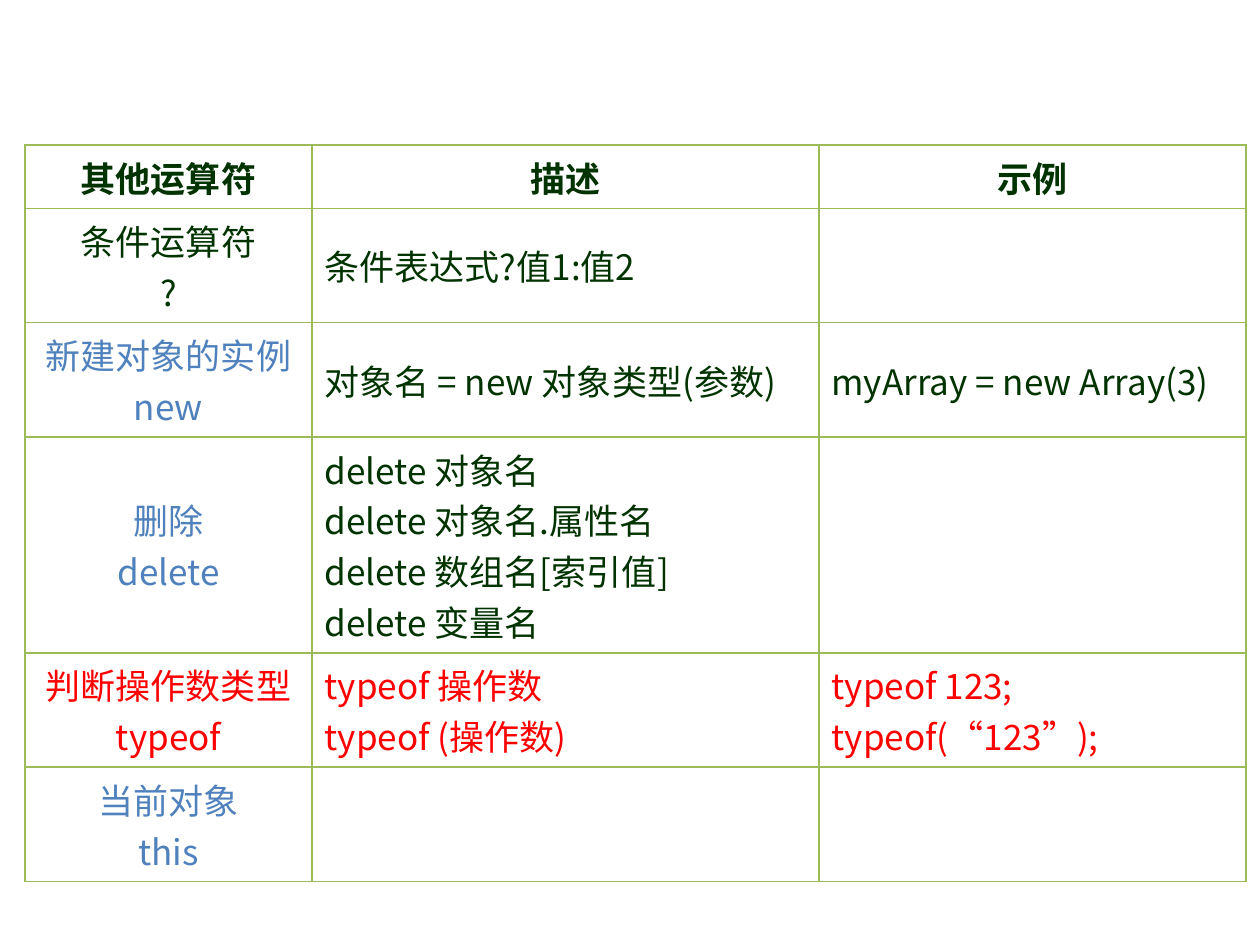
from lxml import etree
from pptx import Presentation
from pptx import util as u
from pptx.dml.color import RGBColor
from pptx.enum import text
from pptx.oxml.ns import qn

FONT = "Noto Sans CJK SC"
GREEN, BLUE, RED, RULE = "003300", "4F81BD", "FF0000", "9BBB59"
HEADINGS = ["其他运算符", "描述", "示例"]
OPERATORS = [
    (["条件运算符", "?"], ["条件表达式?值1:值2"], [], GREEN, GREEN),
    (["新建对象的实例", "new"], ["对象名 = new 对象类型(参数)"],
     ["myArray = new Array(3)"], BLUE, GREEN),
    (["删除", "delete"],
     ["delete 对象名", "delete 对象名.属性名", "delete 数组名[索引值]", "delete 变量名"],
     [], BLUE, GREEN),
    (["判断操作数类型", "typeof"], ["typeof 操作数", "typeof (操作数)"],
     ["typeof 123;", "typeof(“123”);"], RED, RED),
    (["当前对象", "this"], [], [], BLUE, GREEN),
]
LEFT, TOP = 25, 145
COLUMNS = [287, 507, 427]
LINE, PADDING = 51, 12


def px(n):
    return u.Emu(round(n * 914400 / 126))


def color(value):
    return RGBColor.from_string(value)


def write(cell, lines, ink=GREEN, bold=False, centered=False):
    cell.vertical_anchor = text.MSO_ANCHOR.MIDDLE
    frame = cell.text_frame
    for i, line in enumerate(lines):
        paragraph = frame.add_paragraph() if i else frame.paragraphs[0]
        paragraph.alignment = text.PP_ALIGN.CENTER if centered else text.PP_ALIGN.LEFT
        run = paragraph.add_run()
        run.text = line
        run.font.size = u.Pt(20)
        run.font.bold = bold
        run.font.color.rgb = color(ink)
        run.font.name = FONT
        east_asian = etree.Element(qn("a:ea"), typeface=FONT)
        run.font._element.find(qn("a:latin")).addnext(east_asian)


def outline(cell):
    properties = cell._tc.get_or_add_tcPr()
    for side in ("lnL", "lnR", "lnT", "lnB"):
        border = etree.SubElement(properties, qn("a:" + side), w=str(u.Pt(1)))
        fill = etree.SubElement(border, qn("a:solidFill"))
        etree.SubElement(fill, qn("a:srgbClr"), val=RULE)
    cell.fill.background()


def main():
    deck = Presentation()
    deck.slide_width, deck.slide_height = u.Inches(10), u.Inches(7.5)
    slide = deck.slides.add_slide(deck.slide_layouts[6])

    line_counts = [1] + [max(map(len, row[:3])) for row in OPERATORS]
    heights = [LINE * count + PADDING for count in line_counts]
    table = slide.shapes.add_table(
        len(heights), len(COLUMNS),
        px(LEFT), px(TOP), px(sum(COLUMNS)), px(sum(heights))).table
    table.first_row = table.horz_banding = False
    for column, width in zip(table.columns, COLUMNS):
        column.width = px(width)
    for row, height in zip(table.rows, heights):
        row.height = px(height)
    for cell in table.iter_cells():
        outline(cell)

    for c, heading in enumerate(HEADINGS):
        write(table.cell(0, c), [heading], bold=True, centered=True)
    for r, (operator, usage, example, operator_ink, ink) in enumerate(OPERATORS, 1):
        write(table.cell(r, 0), operator, ink=operator_ink, centered=True)
        write(table.cell(r, 1), usage, ink=ink)
        write(table.cell(r, 2), example, ink=ink)

    deck.save("out.pptx")


if __name__ == "__main__":
    main()
